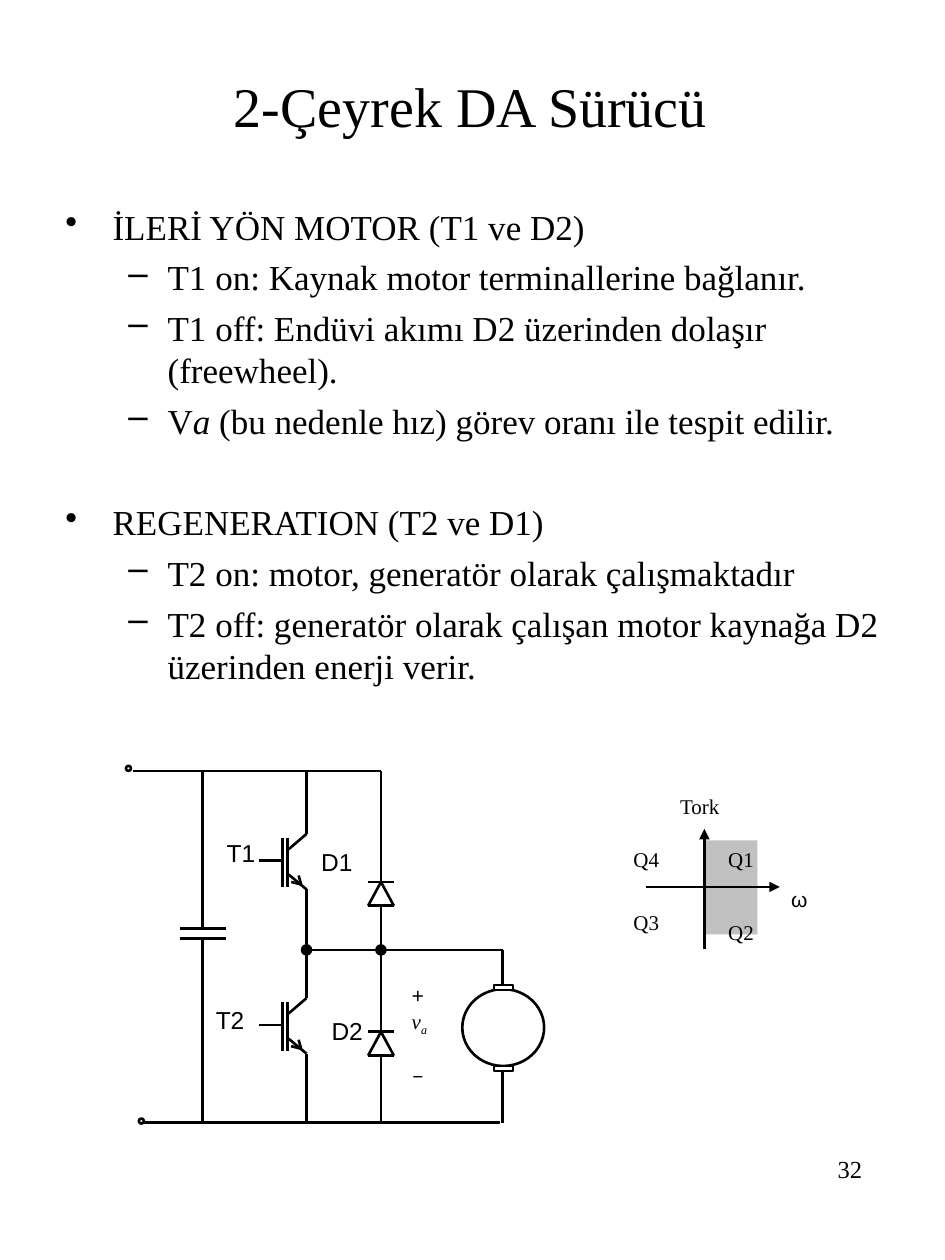
from dataclasses import dataclass
from typing import NamedTuple

from lxml import etree
from pptx import Presentation
from pptx import util as u
from pptx.dml.color import RGBColor
from pptx.enum import shapes, text
from pptx.oxml.ns import qn


@dataclass(frozen=True)
class Theme:
    ink: RGBColor = RGBColor(0, 0, 0)
    paper: RGBColor = RGBColor(255, 255, 255)
    shade: RGBColor = RGBColor(0xC0, 0xC0, 0xC0)
    serif: str = "Times New Roman"
    sans: str = "Arial"
    mono: str = "Courier New"
    title_size: int = 32
    body_size: int = 20
    label_size: int = 14
    small_size: int = 12
    line_width: float = 1.5
    paragraph_gap: int = 5
    section_gap: int = 34


class Box(NamedTuple):
    """Left, top, width and height in centimetres."""
    left: float
    top: float
    width: float
    height: float


class Wire(NamedTuple):
    """Start and end in centimetres."""
    x1: float
    y1: float
    x2: float
    y2: float


class Span(NamedTuple):
    words: str
    italic: bool = False
    subscript: bool = False


class Line(NamedTuple):
    spans: list[Span]
    font: str
    gap: int = 0


class Bullet(NamedTuple):
    level: int
    spans: list[Span]
    gap: int = Theme.paragraph_gap


class BulletStyle(NamedTuple):
    mark: str
    margin: float
    hanging: float


class Label(NamedTuple):
    words: str
    box: Box
    font: str = Theme.serif
    size: int = Theme.small_size
    align: text.PP_ALIGN = text.PP_ALIGN.LEFT
    anchor: text.MSO_ANCHOR = text.MSO_ANCHOR.TOP


THEME = Theme()
BULLET_STYLES = [BulletStyle("•", 0.95, 0.95), BulletStyle("–", 2.06, 0.79)]
BULLETS = [
    Bullet(0, [Span("İLERİ YÖN MOTOR (T1 ve D2)")]),
    Bullet(1, [Span("T1 on: Kaynak motor terminallerine bağlanır.")]),
    Bullet(1, [Span("T1 off: Endüvi akımı D2 üzerinden dolaşır (freewheel).")]),
    Bullet(1, [Span("V"), Span("a", italic=True),
               Span(" (bu nedenle hız) görev oranı ile tespit edilir.")]),
    Bullet(0, [Span("REGENERATION (T2 ve D1)")], THEME.section_gap),
    Bullet(1, [Span("T2 on: motor, generatör olarak çalışmaktadır")]),
    Bullet(1, [Span("T2 off: generatör olarak çalışan motor kaynağa D2 üzerinden enerji verir.")]),
]
VOLTAGE = [
    Line([Span("+")], THEME.mono),
    Line([Span("v", True), Span("a", True, True)], THEME.serif),
    Line([Span("–")], THEME.mono, gap=14),
]

# Circuit levels and columns
TOP, MIDDLE, BOTTOM = 15.54, 19.15, 22.63
CAPACITOR_X, SWITCH_X, DIODE_X, MOTOR_X = 4.08, 6.18, 7.68, 10.13
SWITCH_TOPS, SWITCH_HEIGHT = (16.81, 20.12), 1.12
DIODE_TOPS, DIODE_HEIGHT = (17.78, 20.8), 0.48
PLATES = (18.72, 18.92)
MOTOR = Box(9.32, 19.94, 1.65, 1.55)


def format_run(run, span: Span, font: str, size: int) -> None:
    run.text = span.words
    run.font.name, run.font.size = font, u.Pt(size)
    run.font.color.rgb = THEME.ink
    run.font.italic = span.italic
    if span.subscript:
        run.font._element.set("baseline", "-25000")


def add_text_frame(slide, box: Box, anchor=text.MSO_ANCHOR.TOP):
    frame = slide.shapes.add_textbox(*map(u.Cm, box)).text_frame
    frame.word_wrap, frame.vertical_anchor = True, anchor
    return frame


def add_label(slide, label: Label) -> None:
    paragraph = add_text_frame(slide, label.box, label.anchor).paragraphs[0]
    paragraph.alignment = label.align
    format_run(paragraph.add_run(), Span(label.words), label.font, label.size)


def add_paragraph(frame, index: int, spans: list[Span], font: str, size: int, gap: int):
    paragraph = frame.add_paragraph() if index else frame.paragraphs[0]
    paragraph.space_before = u.Pt(gap)
    for span in spans:
        format_run(paragraph.add_run(), span, font, size)
    return paragraph


def add_bullets(slide, box: Box, bullets: list[Bullet]) -> None:
    frame = add_text_frame(slide, box)
    for index, bullet in enumerate(bullets):
        paragraph = add_paragraph(frame, index, bullet.spans, THEME.serif,
                                  THEME.body_size, bullet.gap)
        paragraph.level = bullet.level
        style = BULLET_STYLES[bullet.level]
        properties = paragraph._p.get_or_add_pPr()
        properties.set("marL", str(u.Cm(style.margin)))
        properties.set("indent", str(-u.Cm(style.hanging)))
        etree.SubElement(properties, qn("a:buChar")).set("char", style.mark)


def add_wire(slide, wire: Wire, arrow: bool = False) -> None:
    connector = slide.shapes.add_connector(shapes.MSO_CONNECTOR.STRAIGHT, *map(u.Cm, wire))
    connector.line.color.rgb = THEME.ink
    connector.line.width = u.Pt(THEME.line_width)
    properties = connector._element.spPr
    if arrow:
        etree.SubElement(properties.find(qn("a:ln")), qn("a:tailEnd")).set("type", "triangle")
    etree.SubElement(properties, qn("a:effectLst"))


def add_figure(slide, kind, box: Box, fill: RGBColor, outlined: bool = True) -> None:
    shape = slide.shapes.add_shape(kind, *map(u.Cm, box))
    shape.shadow.inherit = False
    shape.fill.solid()
    shape.fill.fore_color.rgb = fill
    if outlined:
        shape.line.color.rgb = THEME.ink
        shape.line.width = u.Pt(THEME.line_width)
    else:
        shape.line.fill.background()


def add_dot(slide, x: float, y: float, size: float, fill: RGBColor) -> None:
    box = Box(x - size / 2, y - size / 2, size, size)
    add_figure(slide, shapes.MSO_SHAPE.OVAL, box, fill)


def add_transistor(slide, top: float) -> None:
    x, end = SWITCH_X, top + SWITCH_HEIGHT
    for wire in (Wire(x, top, x - 0.36, top + 0.31), Wire(x, end, x - 0.36, end - 0.3),
                 Wire(x - 0.39, top + 0.08, x - 0.39, end - 0.05),
                 Wire(x - 0.49, top + 0.08, x - 0.49, end - 0.05),
                 Wire(x - 0.49, top + 0.54, x - 0.95, top + 0.54),
                 Wire(x - 0.16, end - 0.28, x - 0.11, end - 0.1),
                 Wire(x - 0.11, end - 0.1, x - 0.31, end - 0.15)):
        add_wire(slide, wire)


def add_diode(slide, top: float) -> None:
    x, base, half = DIODE_X, top + DIODE_HEIGHT, 0.26
    for wire in (Wire(x - half, top, x + half, top), Wire(x - half, base, x + half, base),
                 Wire(x - half, base, x, top), Wire(x + half, base, x, top)):
        add_wire(slide, wire)


def add_column(slide, x: float, levels: list[float]) -> None:
    """Draw vertical wires between successive pairs of levels."""
    for start, end in zip(levels[::2], levels[1::2]):
        add_wire(slide, Wire(x, start, x, end))


def add_circuit(slide) -> None:
    for wire in (Wire(2.69, TOP, DIODE_X, TOP), Wire(SWITCH_X, MIDDLE, MOTOR_X, MIDDLE),
                 Wire(2.87, BOTTOM, 10.08, BOTTOM),
                 *(Wire(3.63, y, 4.55, y) for y in PLATES)):
        add_wire(slide, wire)
    for x, tops, height in ((SWITCH_X, SWITCH_TOPS, SWITCH_HEIGHT),
                            (DIODE_X, DIODE_TOPS, DIODE_HEIGHT)):
        add_column(slide, x, [TOP, tops[0], tops[0] + height, tops[1], tops[1] + height, BOTTOM])
    add_column(slide, CAPACITOR_X, [TOP, PLATES[0], PLATES[1], BOTTOM])
    add_column(slide, MOTOR_X, [MIDDLE, 19.86, 21.6, BOTTOM])
    for top in SWITCH_TOPS:
        add_transistor(slide, top)
    for top in DIODE_TOPS:
        add_diode(slide, top)
    add_figure(slide, shapes.MSO_SHAPE.OVAL, MOTOR, THEME.paper)
    for top in (19.86, 21.49):
        add_figure(slide, shapes.MSO_SHAPE.RECTANGLE, Box(9.96, top, 0.38, 0.1), THEME.paper)
    for x, y in ((2.59, 15.49), (2.85, 22.6)):
        add_dot(slide, x, y, 0.1, THEME.paper)
    for x in (SWITCH_X, DIODE_X):
        add_dot(slide, x, MIDDLE, 0.18, THEME.ink)
    for name, x, y in (("T1", 4.86, 17.19), ("D1", 6.79, 17.38),
                       ("T2", 4.64, 20.56), ("D2", 7.0, 20.78)):
        add_label(slide, Label(name, Box(x - 0.6, y - 0.45, 1.2, 0.9), THEME.sans,
                               THEME.label_size, text.PP_ALIGN.CENTER, text.MSO_ANCHOR.MIDDLE))
    frame = add_text_frame(slide, Box(8.05, 19.69, 1.27, 1.96))
    for index, line in enumerate(VOLTAGE):
        add_paragraph(frame, index, line.spans, line.font, THEME.small_size, line.gap)


def add_quadrants(slide) -> None:
    add_figure(slide, shapes.MSO_SHAPE.RECTANGLE, Box(14.2, 16.94, 1.07, 1.9), THEME.shade, False)
    for axis in (Wire(14.2, 19.13, 14.2, 16.71), Wire(13.03, 17.88, 15.72, 17.88)):
        add_wire(slide, axis, arrow=True)
    for name, x, y in (("Q1", 14.43, 16.94), ("Q2", 14.43, 18.42),
                       ("Q3", 12.52, 18.21), ("Q4", 12.52, 16.94)):
        add_label(slide, Label(name, Box(x, y, 1.2, 0.62)))
    add_label(slide, Label("Tork", Box(13.46, 15.88, 1.8, 0.62)))
    add_label(slide, Label("ω", Box(15.7, 17.75, 0.9, 0.76), THEME.sans))


def main() -> None:
    presentation = Presentation()
    presentation.slide_width, presentation.slide_height = u.Cm(19.05), u.Cm(25.4)
    slide = presentation.slides.add_slide(presentation.slide_layouts[6])
    add_label(slide, Label("2-Çeyrek DA Sürücü", Box(0.91, 0, 17.15, 4.24),
                           size=THEME.title_size, align=text.PP_ALIGN.CENTER,
                           anchor=text.MSO_ANCHOR.MIDDLE))
    add_bullets(slide, Box(1.07, 4.01, 17.15, 9.09), BULLETS)
    add_quadrants(slide)
    add_circuit(slide)
    add_label(slide, Label("32", Box(13.67, 23.14, 3.96, 1.7), size=THEME.label_size,
                           align=text.PP_ALIGN.RIGHT))
    presentation.save("out.pptx")


if __name__ == "__main__":
    main()
